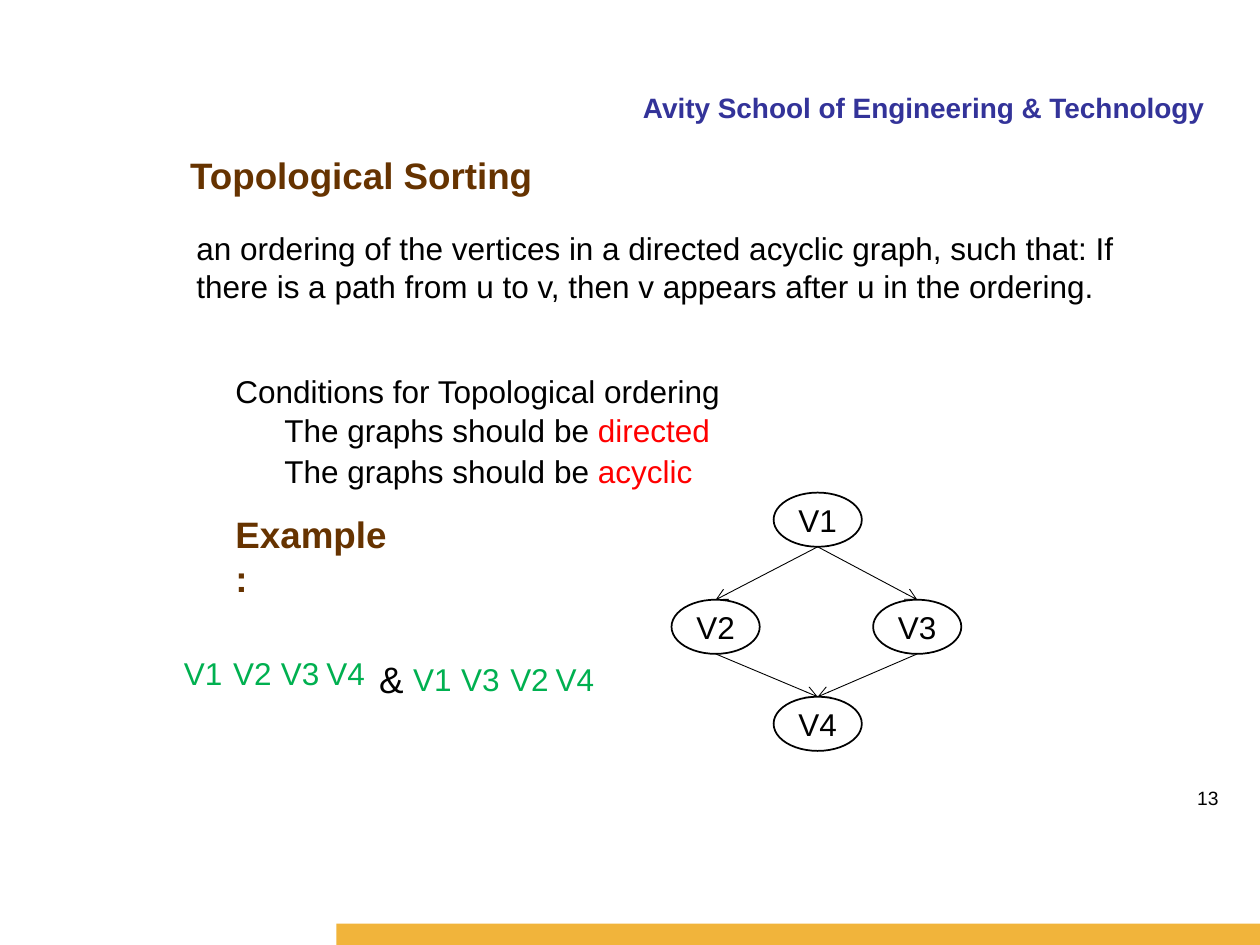
from typing import NamedTuple

from lxml.etree import SubElement
from pptx import Presentation
from pptx.dml.color import RGBColor
from pptx.enum.shapes import MSO_CONNECTOR as Wire, MSO_SHAPE as Form
from pptx.enum.text import MSO_ANCHOR as Anchor, MSO_AUTO_SIZE as Fit, PP_ALIGN as Align
from pptx.oxml.ns import qn
from pptx.util import Emu, Inches, Pt

BLACK = RGBColor(0x00, 0x00, 0x00)
WHITE = RGBColor(0xFF, 0xFF, 0xFF)
NAVY = RGBColor(0x33, 0x33, 0x99)
BROWN = RGBColor(0x66, 0x33, 0x00)
RED = RGBColor(0xFF, 0x00, 0x00)
GREEN = RGBColor(0x00, 0xB0, 0x50)
GOLD = RGBColor(0xF1, 0xB4, 0x3B)

WIDE, HIGH = Inches(10), Inches(7.5)
COL, ROW = WIDE / 100, HIGH / 75  # the grid has 100 columns and 75 rows

BODY = {"name": "Arial", "size": Pt(18), "bold": False}
HEAD = {"name": "Arial", "size": Pt(21), "bold": True}
SCHOOL = {"name": "Arial", "size": Pt(16), "bold": True}
NUMBER = {"name": "Arial", "size": Pt(11), "bold": False}
JOIN = {"name": "Arial", "size": Pt(21), "bold": False}

PAD = {f"margin_{side}": 0 for side in ("left", "right", "top", "bottom")}


class Area(NamedTuple):
    col: float
    row: float
    cols: float
    rows: float


class Run(NamedTuple):
    text: str
    color: RGBColor = BLACK


class Label(NamedTuple):
    area: Area
    runs: list[Run]
    font: dict = BODY
    para: dict = {}
    frame: dict = {}


class Node(NamedTuple):
    name: str
    col: float
    row: float


NODE_W, NODE_H = 7, 4.3
NODES = [Node("V1", 61.4, 39.1), Node("V2", 53.3, 47.6),
         Node("V3", 69.3, 47.6), Node("V4", 61.4, 55.3)]
EDGES = [("V1", "V3"), ("V1", "V2"), ("V2", "V4"), ("V3", "V4")]

# Each valid order: its row, and a column for each vertex.
ORDERS = [(51.9, {"V1": 14.6, "V2": 18.5, "V3": 22.3, "V4": 25.9}),
          (52.4, {"V1": 32.8, "V3": 36.6, "V2": 40.5, "V4": 44.1})]

TITLE = Label(Area(14.1, 11.6, 35.5, 4.5), [Run("Topological Sorting", BROWN)],
              HEAD, {"alignment": Align.LEFT})
LABELS = [
    Label(Area(40.8, 6.7, 55.8, 3.3),
          [Run("Avity School of Engineering & Technology", NAVY)],
          SCHOOL, {"alignment": Align.RIGHT}),
    Label(Area(86.2, 61.9, 11.5, 3.9), [Run("13")], NUMBER, {"alignment": Align.RIGHT}),
    Label(Area(14.6, 17.7, 79.4, 7.1),
          [Run("an ordering of the vertices in a directed acyclic graph, such that: "
               "If there is a path from u to v, then v appears after u in the ordering.")]),
    Label(Area(17.7, 27.5, 79.4, 5), [Run("Conditions for Topological ordering")],
          para={"alignment": Align.JUSTIFY, "line_spacing": 1.5}),
    *(Label(Area(21.6, row, 74.3, 4), [Run("The graphs should be "), Run(word, RED)])
      for row, word in ((32.1, "directed"), (35.4, "acyclic"))),
    Label(Area(17.7, 40.1, 15.5, 8.1), [Run("Example :", BROWN)], HEAD),
    *(Label(Area(col, row, 3.6, 3), [Run(name, GREEN)], frame=PAD)
      for row, order in ORDERS for name, col in order.items()),
    Label(Area(30.1, 52.1, 3.6, 3.5), [Run("&")], JOIN, frame=PAD),
]


def spot(col: float, row: float) -> tuple[Emu, Emu]:
    return Emu(round(col * COL)), Emu(round(row * ROW))


def place(area: Area) -> tuple[Emu, ...]:
    return spot(area.col, area.row) + spot(area.cols, area.rows)


def style(item, values: dict) -> None:
    for key, value in values.items():
        setattr(item, key, value)


def write(shape, label: Label) -> None:
    frame = shape.text_frame
    style(frame, {"word_wrap": True, "auto_size": Fit.NONE,
                  "vertical_anchor": Anchor.TOP} | label.frame)
    para = frame.paragraphs[0]
    style(para, label.para)
    for text, color in label.runs:
        run = para.add_run()
        run.text = text
        style(run.font, label.font)
        run.font.color.rgb = color


def draw_title(slide, label: Label) -> None:
    title = slide.shapes.title
    style(title, dict(zip(("left", "top", "width", "height"), place(label.area))))
    write(title, label)


def draw_label(slide, label: Label) -> None:
    write(slide.shapes.add_textbox(*place(label.area)), label)


def draw_shape(slide, form: Form, area: Area, fill: RGBColor):
    shape = slide.shapes.add_shape(form, *place(area))
    shape.shadow.inherit = False
    shape.fill.solid()
    shape.fill.fore_color.rgb = fill
    shape.line.fill.background()
    return shape


def draw_node(slide, node: Node) -> None:
    area = Area(node.col, node.row, NODE_W, NODE_H)
    shape = draw_shape(slide, Form.OVAL, area, WHITE)
    shape.line.color.rgb = BLACK
    shape.line.width = Pt(1)
    write(shape, Label(area, [Run(node.name)], para={"alignment": Align.CENTER},
                       frame=PAD | {"vertical_anchor": Anchor.MIDDLE}))


def draw_edge(slide, start: Node, end: Node) -> None:
    """Draw an arrow from the bottom of one node to the top of the next."""
    half = NODE_W / 2
    wire = slide.shapes.add_connector(
        Wire.STRAIGHT, *spot(start.col + half, start.row + NODE_H),
        *spot(end.col + half, end.row))
    wire.line.color.rgb = BLACK
    wire.line.width = Pt(0.5)
    SubElement(wire.line._get_or_add_ln(), qn("a:tailEnd"), type="arrow")
    SubElement(wire._element.spPr, qn("a:effectLst"))


def main() -> None:
    deck = Presentation()
    style(deck, {"slide_width": WIDE, "slide_height": HIGH})
    slide = deck.slides.add_slide(deck.slide_layouts.get_by_name("Title Only"))
    draw_shape(slide, Form.RECTANGLE, Area(26.7, 73.3, 73.3, 1.7), GOLD)
    draw_title(slide, TITLE)
    for label in LABELS:
        draw_label(slide, label)
    for node in NODES:
        draw_node(slide, node)
    named = {node.name: node for node in NODES}
    for start, end in EDGES:
        draw_edge(slide, named[start], named[end])
    deck.save("out.pptx")


if __name__ == "__main__":
    main()
